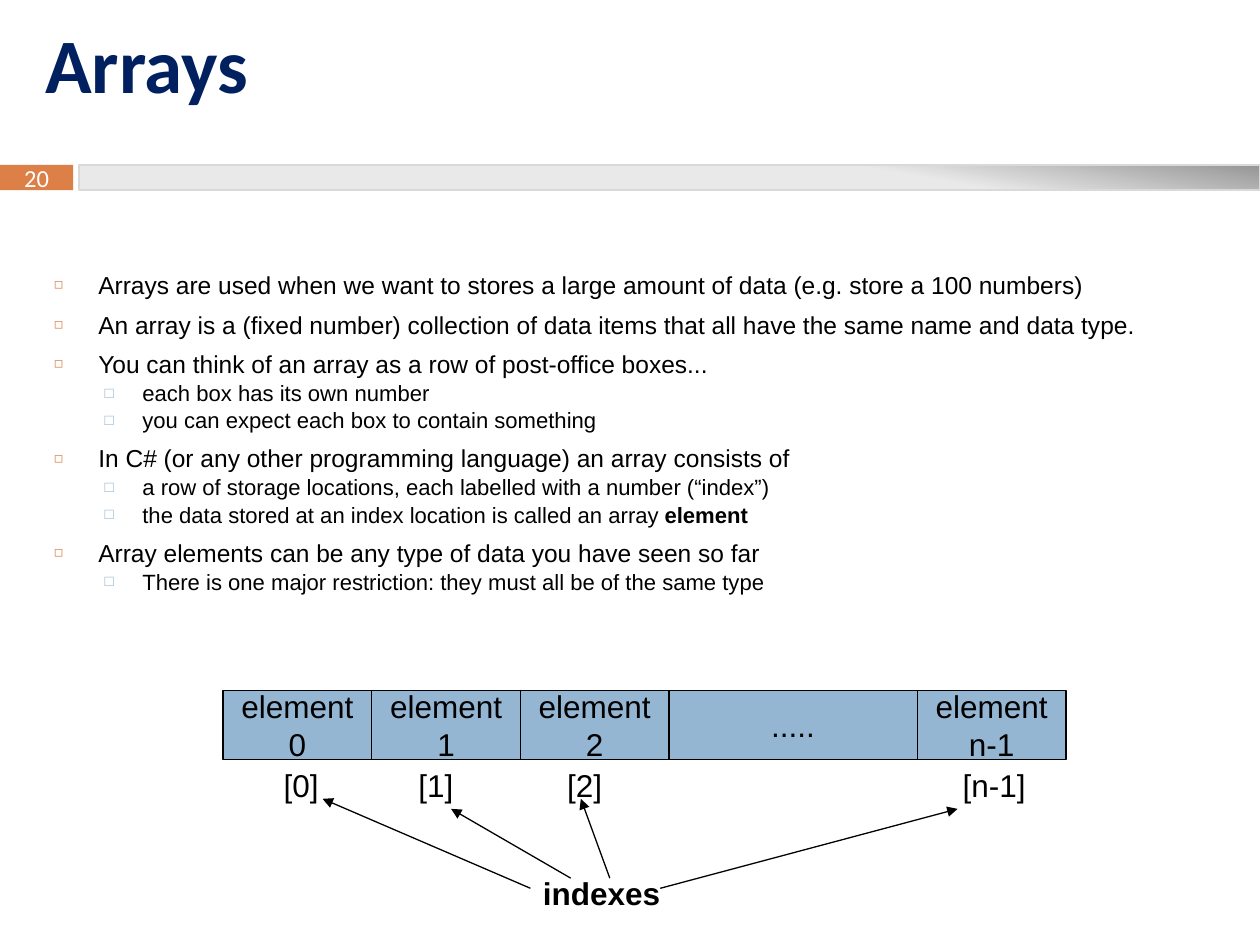
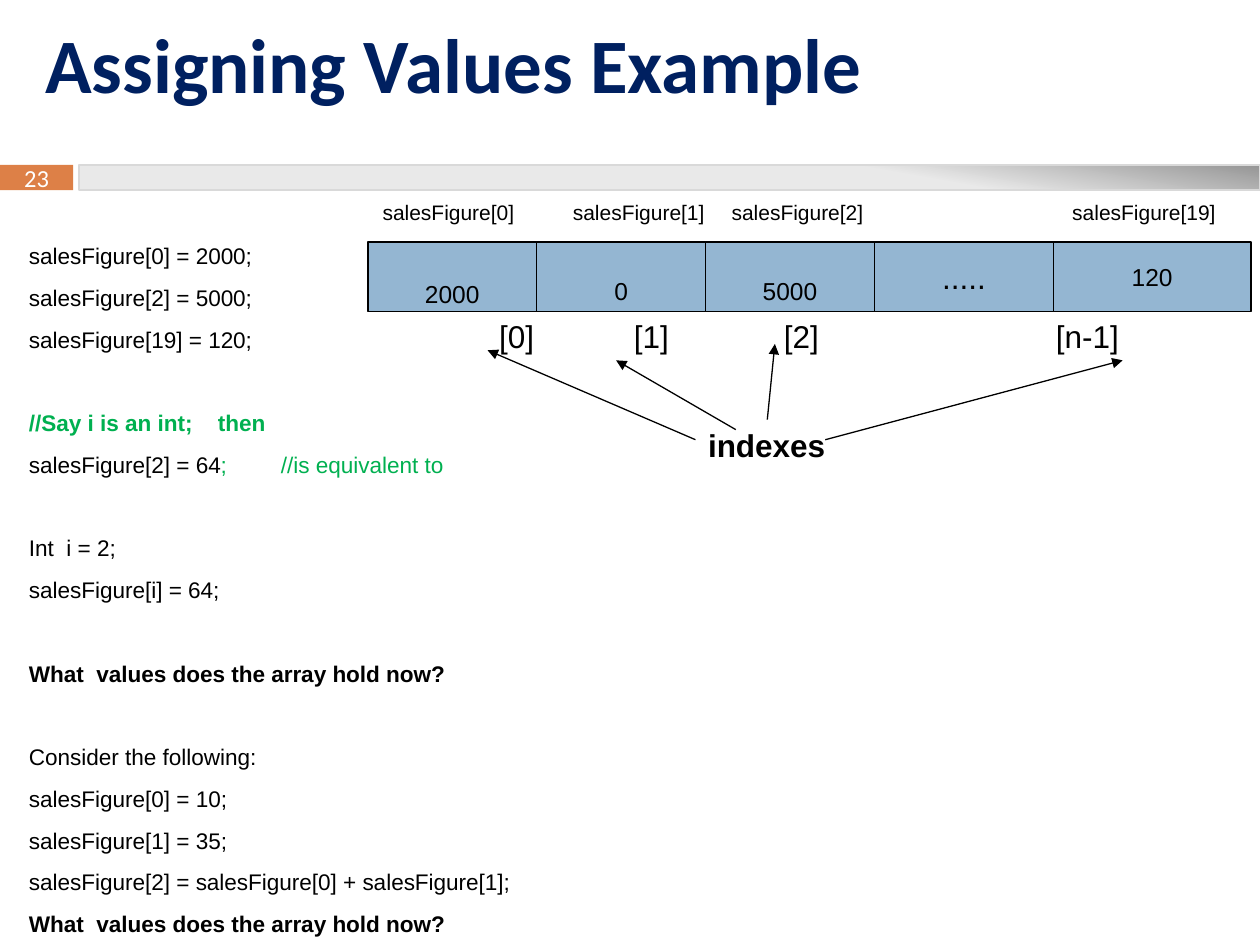
from lxml import etree
from pptx import Presentation
from pptx import util as u
from pptx.dml import color
from pptx.enum import shapes, text
from pptx.oxml import ns

presentation = Presentation()
presentation.slide_width, presentation.slide_height = u.Inches(10), u.Inches(7.5)

# The slide is a grid of 100 columns and 75 rows; all places are given in it.
COLUMN = presentation.slide_width / 100
ROW = presentation.slide_height / 75

BLACK, WHITE, NAVY, GREEN = "000000", "FFFFFF", "002060", "00B050"
ORANGE, BLUE = "DD8047", "94B6D2"
CELL_HEIGHT, LABEL_HEIGHT = 5.5, 4


def rgb(hex_string):
    """Turn a hex string into a colour."""
    return color.RGBColor.from_string(hex_string)


def add_block(slide, place, lines, fill=None, line=None, ink=BLACK,
              anchor=text.MSO_ANCHOR.MIDDLE, bottom=0, **font_format):
    """Add a centred text box, or a rectangle if a fill is given."""
    left, top, width, height = place
    box = [round(n) for n in (left * COLUMN, top * ROW, width * COLUMN, height * ROW)]
    if fill:
        shape = slide.shapes.add_shape(shapes.MSO_SHAPE.RECTANGLE, *box)
        shape.shadow.inherit = False
        shape.fill.solid()
        shape.fill.fore_color.rgb = rgb(fill)
        if line:
            shape.line.color.rgb = rgb(line)
            shape.line.width = u.Pt(0.75)
        else:
            shape.line.fill.background()
    else:
        shape = slide.shapes.add_textbox(*box)
    frame_format = {"word_wrap": False, "vertical_anchor": anchor, "margin_left": 0,
                    "margin_right": 0, "margin_top": 0, "margin_bottom": round(bottom * ROW)}
    for name, value in frame_format.items():
        setattr(shape.text_frame, name, value)
    shape.text_frame.text = "\n".join(lines)
    for paragraph in shape.text_frame.paragraphs:
        paragraph.alignment = text.PP_ALIGN.CENTER
        for run in paragraph.runs:
            run.font.color.rgb = rgb(ink)
            for name, value in {"name": "Arial", **font_format}.items():
                setattr(run.font, name, value)


# Paragraph styles: sizes and spacing in points, indents and tabs in columns
point = {"size": 14, "line": 15.7, "before": 6.8, "margin": 3.5, "hang": 3.5,
         "bullet": ("\u25fb", ORANGE, 60)}
detail = {"size": 12.6, "line": 15.7, "before": 0, "margin": 7, "hang": 3,
          "bullet": ("\u25a1", BLUE, 70)}
code = {"size": 12.9, "line": 14.86, "before": 9, "margin": 0, "hang": 0}
code_after_gap = {**code, "before": 32.86}

# Each run is (text, bold, colour)
arrays = {
    "number": "20",
    "title": "Arrays",
    "body_place": (3.3, 17.5, 93.4, 34),
    "body_inset": 4.1,
    "body": [
        (point, [("Arrays are used when we want to stores a large amount of data "
                  "(e.g. store a 100 numbers)", False, BLACK)]),
        (point, [("An array is a (fixed number) collection of data items that all "
                  "have the same name and data type.", False, BLACK)]),
        (point, [("You can think of an array as a row of post-office boxes...", False, BLACK)]),
        (detail, [("each box has its own number", False, BLACK)]),
        (detail, [("you can expect each box to contain something", False, BLACK)]),
        (point, [("In C# (or any other programming language) an array consists of",
                  False, BLACK)]),
        (detail, [("a row of storage locations, each labelled with a number "
                   "(\u201cindex\u201d)", False, BLACK)]),
        (detail, [("the data stored at an index location is called an array ", False, BLACK),
                  ("element", True, BLACK)]),
        (point, [("Array elements can be any type of data you have seen so far",
                  False, BLACK)]),
        (detail, [("There is one major restriction: they must all be of the same type",
                   False, BLACK)]),
    ],
    "cells_at": (17.7, 54.8),
    # (width, lines, size, bottom inset or None to centre)
    "cells": [(11.8, ["element", "0"], 18, None), (11.8, ["element", "1"], 18, None),
              (11.8, ["element", "2"], 18, None), (19.7, ["....."], 18, None),
              (11.8, ["element", "n-1"], 18, None)],
    "index_centres": [23.9, 34.6, 46.4, 78.9],
    "headings": [],
    "caption_at": (42.1, 68.9),
    "third_arrow": (6.3, 0.8, 4, -5.5),
}

assigning = {
    "number": "23",
    "title": "Assigning Values Example",
    "body_place": (1.3, 19.3, 90, 55.7),
    "body_inset": 0,
    "body": [
        (code, [("salesFigure[0] = 2000;", False, BLACK)]),
        (code, [("salesFigure[2] = 5000;", False, BLACK)]),
        (code, [("salesFigure[19] = 120;", False, BLACK)]),
        ({**code_after_gap, "tab": 15.1}, [("//Say i is an int;\tthen", True, GREEN)]),
        ({**code, "tab": 17.8}, [("salesFigure[2] = 64", False, BLACK),
                                 (";\t//is equivalent to", False, GREEN)]),
        (code_after_gap, [("Int  i = 2;", False, BLACK)]),
        (code, [("salesFigure[i] = 64;", False, BLACK)]),
        (code_after_gap, [("What  values does the array hold now?", True, BLACK)]),
        (code_after_gap, [("Consider the following:", False, BLACK)]),
        (code, [("salesFigure[0] = 10;", False, BLACK)]),
        (code, [("salesFigure[1] = 35;", False, BLACK)]),
        (code, [("salesFigure[2] = salesFigure[0] + salesFigure[1];", False, BLACK)]),
        (code, [("What  values does the array hold now?", True, BLACK)]),
    ],
    "cells_at": (29.2, 19.2),
    "cells": [(13.4, ["2000"], 14, 0.2), (13.4, ["0"], 14, 0.5), (13.4, ["5000"], 14, 0.5),
              (14.2, ["....."], 18, None), (15.7, ["120"], 14, None)],
    "index_centres": [41, 51.7, 63.6, 86.3],
    "headings": [(35.6, 0), (50.7, 1), (63.3, 2), (90.8, 19)],
    "caption_at": (55.2, 33.3),
    "third_arrow": (5.7, 0, 6.3, -6),
}

for content in (arrays, assigning):
    slide = presentation.slides.add_slide(presentation.slide_layouts[1])

    # Band with the slide number
    add_block(slide, (0, 13.1, 5.8, 2), [content["number"]], fill=ORANGE, ink=WHITE,
              name="Calibri", size=u.Pt(14))
    band = slide.shapes.add_shape(shapes.MSO_SHAPE.RECTANGLE, round(6.3 * COLUMN),
                                  round(13.1 * ROW), round(93.7 * COLUMN), round(2 * ROW))
    band.shadow.inherit = False
    band.line.color.rgb = rgb("D9D9D9")
    band.line.width = u.Pt(1)
    band.fill.gradient()
    band.fill.gradient_angle = 80
    for stop, (position, shade) in zip(band.fill.gradient_stops,
                                       [(0.69, "E9E9E9"), (1, "969696")]):
        stop.position = position
        stop.color.rgb = rgb(shade)

    # Title and body placeholders
    title, body = slide.shapes.title, slide.placeholders[1]
    for placeholder, place in ((title, (2.6, 0.5, 89.2, 9)), (body, content["body_place"])):
        for name, value, unit in zip(("left", "top", "width", "height"), place,
                                     (COLUMN, ROW, COLUMN, ROW)):
            setattr(placeholder, name, round(value * unit))
        placeholder.text_frame.word_wrap = True
        placeholder.text_frame.auto_size = text.MSO_AUTO_SIZE.NONE

    title.text_frame.text = content["title"]
    title.text_frame.vertical_anchor = text.MSO_ANCHOR.MIDDLE
    paragraph = title.text_frame.paragraphs[0]
    paragraph.alignment = text.PP_ALIGN.LEFT
    for name, value in {"name": "Calibri", "size": u.Pt(44), "bold": True}.items():
        setattr(paragraph.runs[0].font, name, value)
    paragraph.runs[0].font.color.rgb = rgb(NAVY)

    frame = body.text_frame
    frame.vertical_anchor = text.MSO_ANCHOR.TOP
    frame.margin_top = round(content["body_inset"] * ROW)
    for number, (style, runs) in enumerate(content["body"]):
        paragraph = frame.add_paragraph() if number else frame.paragraphs[0]
        paragraph_format = {"level": 1 if style is detail else 0,
                            "line_spacing": u.Pt(style["line"]),
                            "space_before": u.Pt(style["before"] if number else 0),
                            "space_after": u.Pt(0)}
        for name, value in paragraph_format.items():
            setattr(paragraph, name, value)
        properties = paragraph._p.get_or_add_pPr()
        properties.set("marL", str(round(style["margin"] * COLUMN)))
        properties.set("indent", str(round(-style["hang"] * COLUMN)))
        if "bullet" in style:
            mark, shade, percent = style["bullet"]
            holder = etree.SubElement(properties, ns.qn("a:buClr"))
            etree.SubElement(holder, ns.qn("a:srgbClr"), val=shade)
            etree.SubElement(properties, ns.qn("a:buSzPct"), val=str(percent * 1000))
            etree.SubElement(properties, ns.qn("a:buChar"), char=mark)
        else:
            etree.SubElement(properties, ns.qn("a:buNone"))
        if "tab" in style:
            tabs = etree.SubElement(properties, ns.qn("a:tabLst"))
            etree.SubElement(tabs, ns.qn("a:tab"), pos=str(round(style["tab"] * COLUMN)),
                             algn="l")
        for words, bold, ink in runs:
            run = paragraph.add_run()
            run.text = words
            run.font.color.rgb = rgb(ink)
            for name, value in {"name": "Arial", "size": u.Pt(style["size"]),
                                "bold": bold}.items():
                setattr(run.font, name, value)

    # Row of array cells
    left, top = content["cells_at"]
    for width, lines, size, bottom in content["cells"]:
        anchor = text.MSO_ANCHOR.MIDDLE if bottom is None else text.MSO_ANCHOR.BOTTOM
        add_block(slide, (left, top, width, CELL_HEIGHT), lines, fill=BLUE, line=BLACK,
                  anchor=anchor, bottom=bottom or 0, size=u.Pt(size))
        left += width

    # Labels above and below the cells
    for centre, index in content["headings"]:
        add_block(slide, (centre - 6.5, 15.3, 13, 3), [f"salesFigure[{index}]"], size=u.Pt(12))
    for centre, index in zip(content["index_centres"], ("0", "1", "2", "n-1")):
        add_block(slide, (centre - 4, top + CELL_HEIGHT, 8, LABEL_HEIGHT), [f"[{index}]"],
                  size=u.Pt(18))

    # Caption and its arrows, placed from the caption's corner
    left, top = content["caption_at"]
    add_block(slide, (left, top, 11.3, LABEL_HEIGHT), ["indexes"], size=u.Pt(18), bold=True)
    for x1, y1, x2, y2 in ((0, 1.6, -16.5, -5.5), (3.2, 0.8, -6.3, -4.7),
                           content["third_arrow"], (10.3, 1.6, 33.9, -4.7)):
        arrow = slide.shapes.add_connector(
            shapes.MSO_CONNECTOR.STRAIGHT, round((left + x1) * COLUMN), round((top + y1) * ROW),
            round((left + x2) * COLUMN), round((top + y2) * ROW))
        arrow.line.color.rgb = rgb(BLACK)
        arrow.line.width = u.Pt(0.75)
        etree.SubElement(arrow.line._get_or_add_ln(), ns.qn("a:tailEnd"), type="triangle")
        etree.SubElement(arrow._element.spPr, ns.qn("a:effectLst"))

presentation.save("out.pptx")
